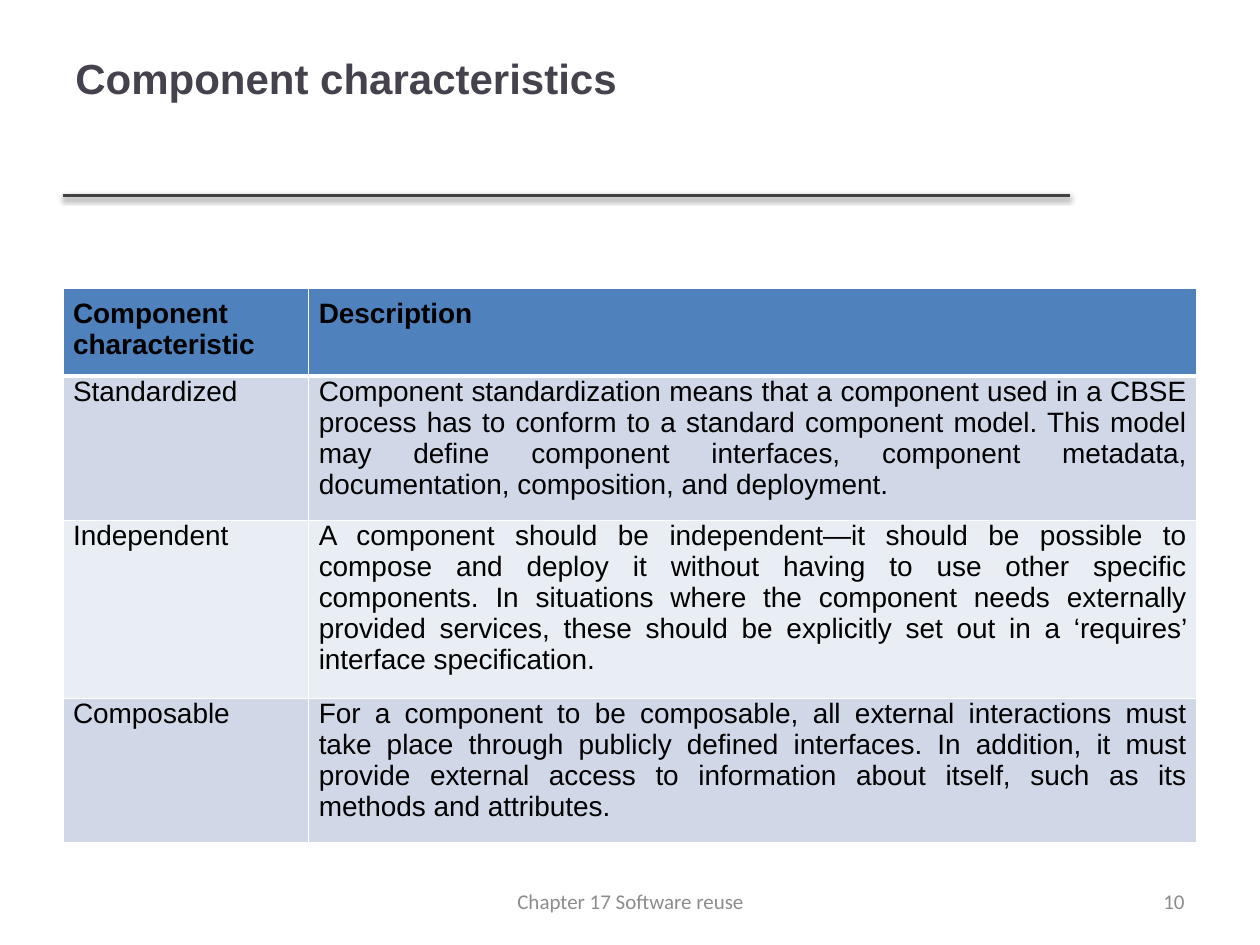
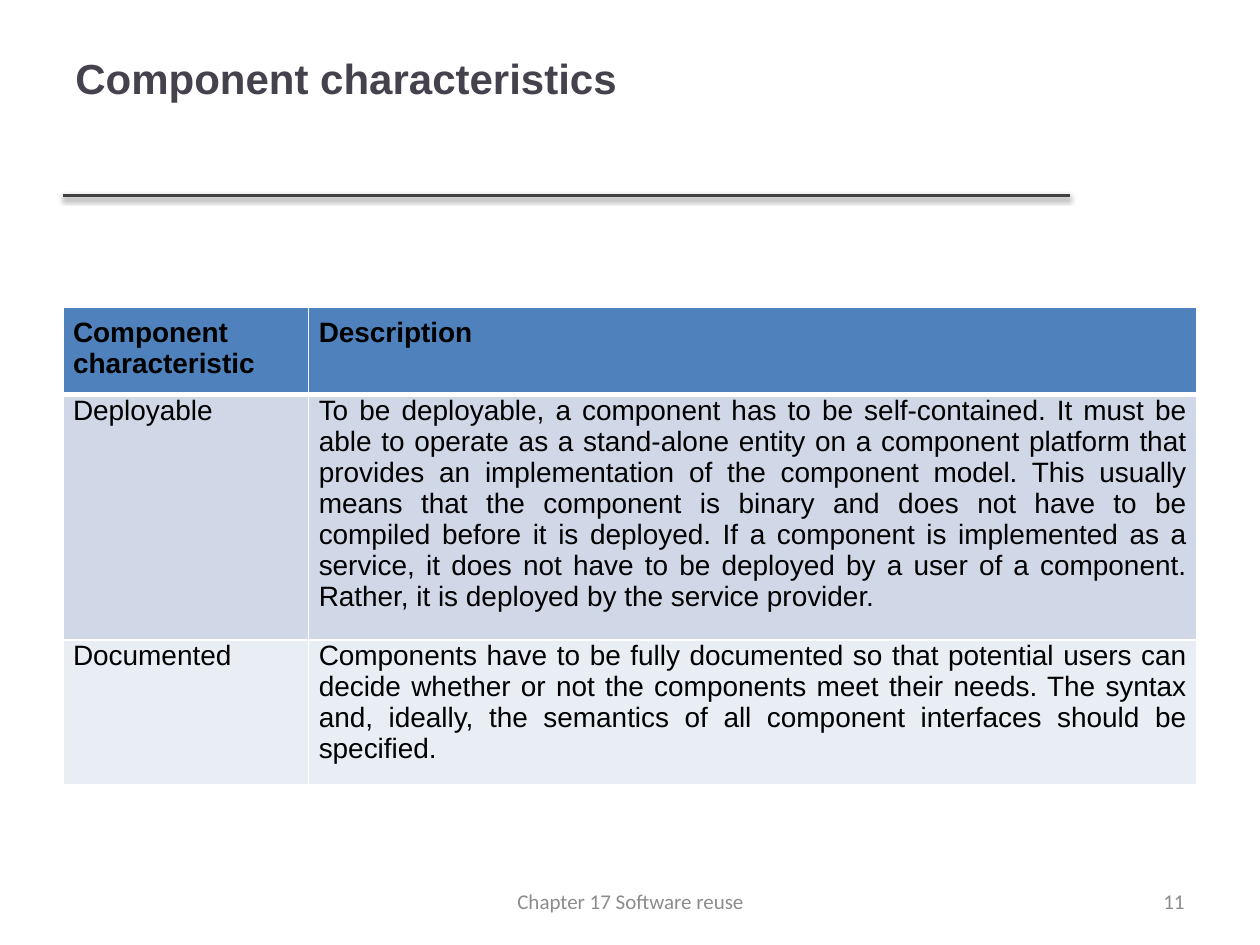
import pptx
import pptx.util
import pptx.dml.color
import pptx.enum.shapes
import pptx.enum.text
import pptx.oxml
import pptx.oxml.ns

Inches = pptx.util.Inches
Pt = pptx.util.Pt
RGBColor = pptx.dml.color.RGBColor
ALIGN = pptx.enum.text.PP_ALIGN
ANCHOR = pptx.enum.text.MSO_ANCHOR

TITLE_COLOR = RGBColor(0x46, 0x42, 0x4D)
RULE_COLOR = RGBColor(0x40, 0x40, 0x40)
FOOTER_COLOR = RGBColor(0x8C, 0x8C, 0x8C)
TEXT_COLOR = RGBColor(0x00, 0x00, 0x00)
BORDER_COLOR = RGBColor(0xFF, 0xFF, 0xFF)
HEADER_FILL = RGBColor(0x4F, 0x81, 0xBD)
BAND_FILLS = [RGBColor(0xE9, 0xED, 0xF4), RGBColor(0xD0, 0xD8, 0xE8)]

TITLE = "Component characteristics"
FOOTER = "Chapter 17 Software reuse"
HEADER = ("Component characteristic", "Description")
COLUMN_WIDTHS = (1.95, 7.05)
ROW_HEIGHT = 0.41
CELL_MARGIN = Inches(0.08)

RULE_SHADOW = (
    f'<a:effectLst {pptx.oxml.ns.nsdecls("a")}>'
    f'<a:outerShdw blurRad="{Pt(3.1)}" dist="{Pt(1.6)}" dir="5400000" rotWithShape="0">'
    '<a:srgbClr val="000000"><a:alpha val="38000"/></a:srgbClr>'
    '</a:outerShdw></a:effectLst>'
)

PAGES = [
    (10, 2.29, 4.4, [
        ("Standardized",
         "Component standardization means that a component used in a CBSE process has to "
         "conform to a standard component model. This model may define component interfaces, "
         "component metadata, documentation, composition, and deployment."),
        ("Independent",
         "A component should be independent—it should be possible to compose and deploy it "
         "without having to use other specific components. In situations where the component "
         "needs externally provided services, these should be explicitly set out in a "
         "‘requires’ interface specification."),
        ("Composable",
         "For a component to be composable, all external interactions must take place through "
         "publicly defined interfaces. In addition, it must provide external access to "
         "information about itself, such as its methods and attributes."),
    ]),
    (11, 2.44, 3.79, [
        ("Deployable",
         "To be deployable, a component has to be self-contained. It must be able to operate "
         "as a stand-alone entity on a component platform that provides an implementation of "
         "the component model. This usually means that the component is binary and does not "
         "have to be compiled before it is deployed. If a component is implemented as a "
         "service, it does not have to be deployed by a user of a component. Rather, it is "
         "deployed by the service provider."),
        ("Documented",
         "Components have to be fully documented so that potential users can decide whether "
         "or not the components meet their needs. The syntax and, ideally, the semantics of "
         "all component interfaces should be specified."),
    ]),
]


def add_text(slide, box, text, font_name, size, color, alignment, bold=False):
    shape = slide.shapes.add_textbox(*[Inches(length) for length in box])
    frame = shape.text_frame
    frame.word_wrap = True
    frame.vertical_anchor = ANCHOR.MIDDLE
    paragraph = frame.paragraphs[0]
    paragraph.text = text
    paragraph.alignment = alignment
    paragraph.font.name = font_name
    paragraph.font.size = Pt(size)
    paragraph.font.bold = bold
    paragraph.font.color.rgb = color


def set_borders(cell, bottom_width):
    properties = cell._tc.get_or_add_tcPr()
    widths = {"lnL": 1, "lnR": 1, "lnT": 1, "lnB": bottom_width}
    for position, (side, width) in enumerate(widths.items()):
        border = pptx.oxml.parse_xml(
            f'<a:{side} {pptx.oxml.ns.nsdecls("a")} w="{Pt(width)}">'
            f'<a:solidFill><a:srgbClr val="{BORDER_COLOR}"/></a:solidFill></a:{side}>'
        )
        properties.insert(position, border)


presentation = pptx.Presentation()
presentation.slide_width = Inches(10)
presentation.slide_height = Inches(7.5)

for number, table_top, table_height, entries in PAGES:
    slide = presentation.slides.add_slide(presentation.slide_layouts[6])

    rule = slide.shapes.add_connector(
        pptx.enum.shapes.MSO_CONNECTOR.STRAIGHT,
        Inches(0.5), Inches(1.55), Inches(8.49), Inches(1.55))
    rule.line.color.rgb = RULE_COLOR
    rule.line.width = Pt(2)
    rule._element.spPr.append(pptx.oxml.parse_xml(RULE_SHADOW))

    add_text(slide, (0.5, -0.01, 9, 1.25), TITLE, "Arial", 24, TITLE_COLOR, ALIGN.LEFT, True)

    rows = [HEADER] + entries
    table_frame = slide.shapes.add_table(
        len(rows), len(HEADER), Inches(0.5), Inches(table_top), Inches(9), Inches(table_height))
    table = table_frame.table
    for column, width in zip(table.columns, COLUMN_WIDTHS):
        column.width = Inches(width)
    for row_index, texts in enumerate(rows):
        is_header = row_index == 0
        table.rows[row_index].height = Inches(ROW_HEIGHT)
        for column_index, text in enumerate(texts):
            cell = table.cell(row_index, column_index)
            cell.margin_left = cell.margin_right = cell.margin_bottom = CELL_MARGIN
            cell.margin_top = CELL_MARGIN if is_header else 0
            cell.fill.solid()
            cell.fill.fore_color.rgb = HEADER_FILL if is_header else BAND_FILLS[row_index % 2]
            set_borders(cell, 3 if is_header else 1)
            paragraph = cell.text_frame.paragraphs[0]
            paragraph.text = text
            paragraph.alignment = ALIGN.JUSTIFY
            paragraph.font.name = "Arial"
            paragraph.font.size = Pt(16)
            paragraph.font.bold = is_header
            paragraph.font.color.rgb = TEXT_COLOR
    table_frame.height = Inches(table_height)

    add_text(slide, (7.17, 6.95, 2.33, 0.4), str(number), "Calibri", 12, FOOTER_COLOR, ALIGN.RIGHT)
    add_text(slide, (3.42, 6.95, 3.17, 0.4), FOOTER, "Calibri", 12, FOOTER_COLOR, ALIGN.CENTER)

presentation.save("out.pptx")
